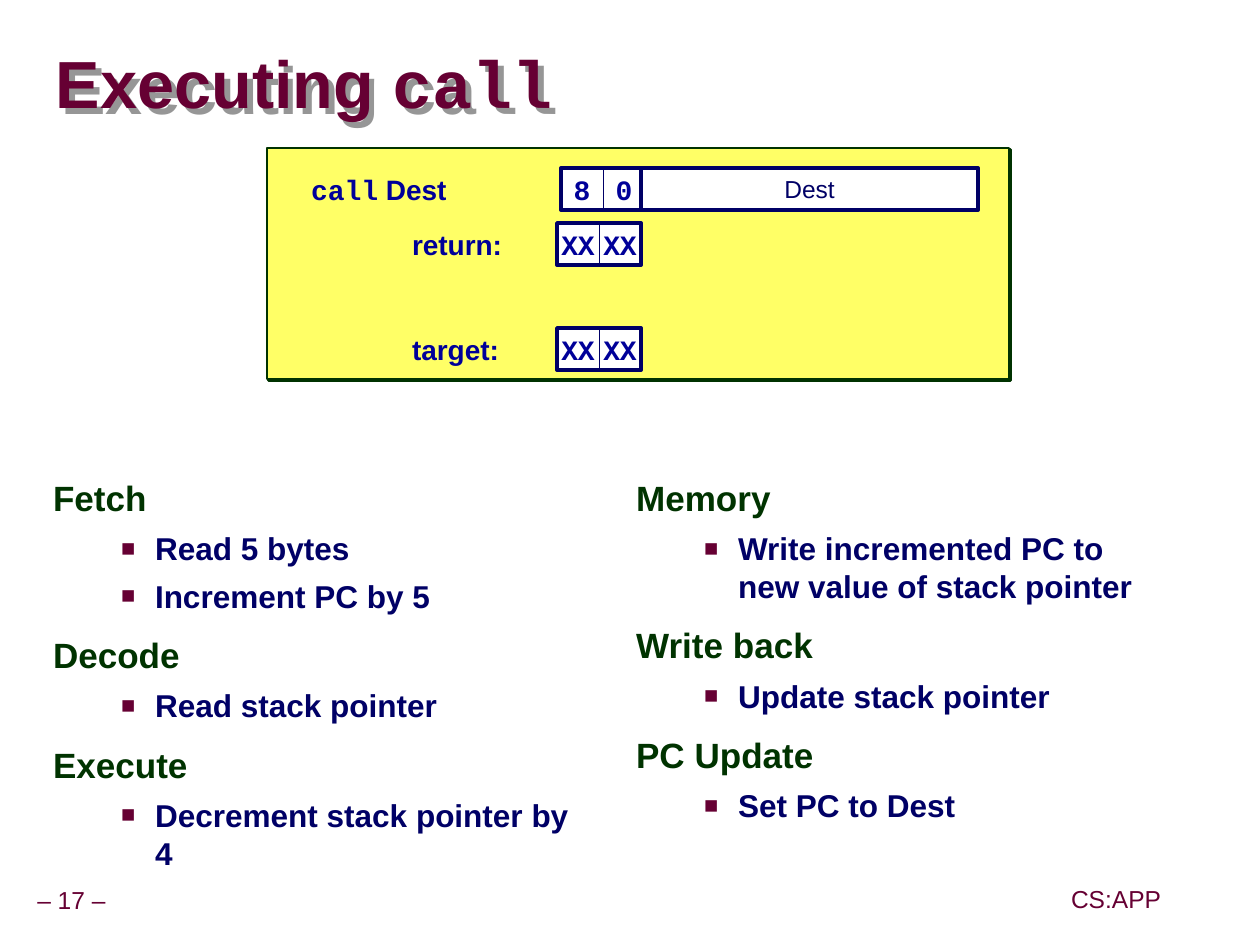
from lxml import etree
from pptx import Presentation
from pptx import util as u
from pptx.dml.color import RGBColor
from pptx.enum import shapes, text
from pptx.oxml.ns import qn

PX = 7251
SLIDE_WIDTH, SLIDE_HEIGHT = u.Inches(9.99), u.Inches(7.49)
MAROON = RGBColor(0x66, 0x00, 0x33)
GREEN = RGBColor(0x00, 0x33, 0x00)
NAVY = RGBColor(0x00, 0x00, 0x66)
BLUE = RGBColor(0x00, 0x00, 0x99)
YELLOW = RGBColor(0xFF, 0xFF, 0x66)
WHITE = RGBColor(0xFF, 0xFF, 0xFF)
GRAY = RGBColor(0x96, 0x96, 0x96)
SANS, MONO = "Arial", "Courier New"

TITLE = [("Executing ", SANS), ("call", MONO)]
FOOTERS = [("– 17 –", 0, 882, 143), ("CS:APP", 1062, 881, 108)]
PANEL = (267, 148, 742, 231)
CELL = 42
CODE_ROWS = [
    ([("call", MONO), (" Dest", SANS)], 298, 262, 561, 168, ["8", "0"]),
    ([("return:", SANS)], 399, 154, 557, 223, ["XX", "XX"]),
    ([("target:", SANS)], 399, 154, 557, 328, ["XX", "XX"]),
]
DEST = ("Dest", 641, 168, 337)
STAGE_TOP, STAGE_WIDTH, STAGE_HEIGHT = 473, 561, 414
STAGES = [
    (40, [("Fetch", ["Read 5 bytes", "Increment PC by 5"]),
          ("Decode", ["Read stack pointer"]),
          ("Execute", ["Decrement stack pointer by 4"])]),
    (623, [("Memory", ["Write incremented PC to new value of stack pointer"]),
           ("Write back", ["Update stack pointer"]),
           ("PC Update", ["Set PC to Dest"])]),
]

presentation = Presentation()
presentation.slide_width = SLIDE_WIDTH
presentation.slide_height = SLIDE_HEIGHT
slide = presentation.slides.add_slide(presentation.slide_layouts[6])


def set_font(run, size, color, bold=True, name=SANS):
    run.font.size = u.Pt(size)
    run.font.color.rgb = color
    run.font.bold = bold
    run.font.name = name


def set_frame(shape, inset_x, inset_y, wrap, anchor):
    frame = shape.text_frame
    frame.margin_left = frame.margin_right = inset_x * PX
    frame.margin_top = frame.margin_bottom = inset_y * PX
    frame.word_wrap = wrap
    frame.vertical_anchor = anchor
    return frame


def add_box(left, top, width, height, inset_x=13, inset_y=6, wrap=False,
            anchor=text.MSO_ANCHOR.MIDDLE):
    box = slide.shapes.add_textbox(left * PX, top * PX, width * PX, height * PX)
    return box, set_frame(box, inset_x, inset_y, wrap, anchor)


def add_runs(paragraph, runs, size, color):
    for words, name in runs:
        run = paragraph.add_run()
        run.text = words
        set_font(run, size, color, name=name)


def add_rectangle(left, top, width, height, fill, line, weight):
    shape = slide.shapes.add_shape(shapes.MSO_SHAPE.RECTANGLE, left * PX,
                                   top * PX, width * PX, height * PX)
    shape.shadow.inherit = False
    if fill is None:
        shape.fill.background()
    else:
        shape.fill.solid()
        shape.fill.fore_color.rgb = fill
    shape.line.color.rgb = line
    shape.line.width = u.Pt(weight)
    return shape


def add_label(shape, words, size, color, bold, name, inset_x=13):
    frame = set_frame(shape, inset_x, 6, False, text.MSO_ANCHOR.MIDDLE)
    frame.text = words
    frame.paragraphs[0].alignment = text.PP_ALIGN.CENTER
    set_font(frame.paragraphs[0].runs[0], size, color, bold, name)


def add_shadow(shape, distance, color):
    shape.shadow.inherit = False
    effects = shape._element.spPr.find(qn("a:effectLst"))
    shadow = etree.SubElement(effects, qn("a:outerShdw"), dist=str(distance * PX),
                              dir="2700000", algn="ctr", rotWithShape="0")
    etree.SubElement(shadow, qn("a:srgbClr"), val=str(color))


def add_bullet(paragraph):
    properties = paragraph._p.get_or_add_pPr()
    properties.set("marL", str(102 * PX))
    properties.set("indent", str(-34 * PX))
    color = etree.SubElement(properties, qn("a:buClr"))
    etree.SubElement(color, qn("a:srgbClr"), val=str(MAROON))
    etree.SubElement(properties, qn("a:buSzPct"), val="75000")
    etree.SubElement(properties, qn("a:buFont"), typeface=SANS)
    etree.SubElement(properties, qn("a:buChar"), char="■")


for words, left, top, width in FOOTERS:
    footer, frame = add_box(left, top, width, 39)
    add_label(footer, words, 14, MAROON, False, SANS, inset_x=6)
    frame.paragraphs[0].line_spacing = 0.9

title, frame = add_box(56, 34, 1200, 107, 0, 0, True)
add_runs(frame.paragraphs[0], TITLE, 38, MAROON)
frame.paragraphs[0].line_spacing = 0.87
add_shadow(title, 8, GRAY)

for left, stages in STAGES:
    body, frame = add_box(left, STAGE_TOP, STAGE_WIDTH, STAGE_HEIGHT, wrap=True,
                          anchor=text.MSO_ANCHOR.TOP)
    for index, (stage, steps) in enumerate(stages):
        heading = frame.add_paragraph() if index else frame.paragraphs[0]
        heading.text = stage
        heading.line_spacing = 0.95
        heading.space_before = u.Pt(12.5 if index else 0)
        set_font(heading.runs[0], 20, GREEN)
        for step in steps:
            item = frame.add_paragraph()
            item.text = step
            item.level = 1
            item.space_before = u.Pt(5.6)
            add_bullet(item)
            set_font(item.runs[0], 18, NAVY)

panel = add_rectangle(*PANEL, YELLOW, GREEN, 1.5)
add_shadow(panel, 2, GREEN)

for label, label_left, label_width, left, top, values in CODE_ROWS:
    box, frame = add_box(label_left, top, label_width, CELL)
    add_runs(frame.paragraphs[0], label, 16, BLUE)
    for index, value in enumerate(values):
        cell = add_rectangle(left + index * CELL, top, CELL, CELL, WHITE, NAVY, 0.5)
        add_label(cell, value, 16, BLUE, True, MONO)
    add_rectangle(left, top, CELL * len(values), CELL, None, NAVY, 2.25)

words, left, top, width = DEST
dest = add_rectangle(left, top, width, CELL, WHITE, NAVY, 2.25)
add_label(dest, words, 14, NAVY, False, SANS)

presentation.save("out.pptx")
